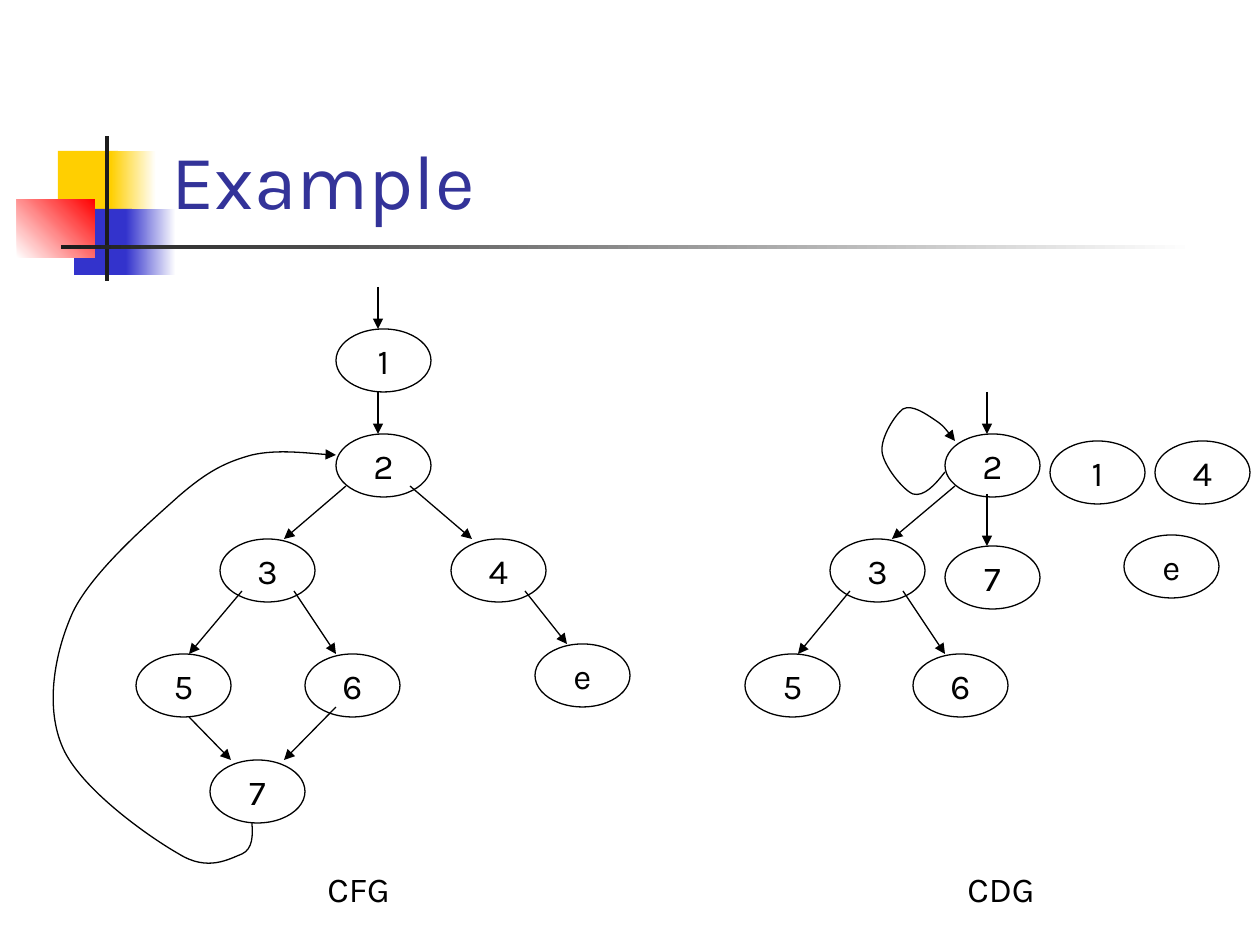
from lxml.etree import SubElement
from pptx import Presentation
from pptx.dml.color import RGBColor
from pptx.enum.shapes import MSO_CONNECTOR, MSO_SHAPE
from pptx.enum.text import MSO_ANCHOR as Anchor, MSO_AUTO_SIZE as AutoSize, PP_ALIGN as Align
from pptx.oxml.ns import qn
from pptx.util import Pt

# Content; every length is in px, 126 to the inch
PX = 914400 / 126
FONT = "Karla"
COLORS = {"ink": "000000", "title": "333399", "gold": "FFCF01", "blue": "3333CC",
          "red": "FF0000", "bar": "1C1C1C", "white": "FFFFFF"}
NODE_SIZE = (95, 63)

TITLE = ("Example", (159, 29, 1074, 202))

# Ornament: box, colour(s), gradient angle
ORNAMENT = [
    ((58, 151, 60, 66), ["gold"], 0),
    ((111, 151, 45, 66), ["gold", "white"], 0),
    ((74, 209, 58, 66), ["blue"], 0),
    ((126, 209, 50, 66), ["blue", "white"], 0),
    ((17, 199, 78, 59), ["white", "red"], 45),
    ((105, 136, 4, 145), ["bar"], 0),
    ((61, 245, 1134, 4), ["bar", "white"], 0),
]

# Each graph: nodes by corner, straight arrows, and the loop as start + Bézier points
GRAPHS = [
    {
        "label": ("CFG", (315, 861, 116, 54)),
        "nodes": {"1": (336, 329), "2": (336, 434), "3": (220, 539), "4": (451, 539),
                  "5": (136, 654), "e": (535, 644), "7": (210, 760), "6": (305, 654)},
        "arrows": [
            ((378, 287), (378, 329)), ((378, 392), (378, 434)),
            ((346, 486), (284, 539)), ((410, 486), (472, 539)),
            ((525, 591), (567, 644)), ((242, 591), (189, 654)),
            ((294, 591), (336, 654)), ((189, 717), (231, 760)),
            ((336, 707), (284, 760)),
        ],
        "loop": [
            (252, 823),
            (253, 835), (253, 849), (242, 854),
            (229, 859), (208, 872), (179, 854),
            (149, 837), (81, 789), (63, 748),
            (45, 708), (54, 654), (73, 612),
            (93, 571), (149, 523), (179, 496),
            (208, 471), (226, 462), (252, 455),
            (278, 449), (323, 455), (336, 455),
        ],
    },
    {
        "label": ("CDG", (955, 861, 252, 54)),
        "nodes": {"1": (1050, 441), "2": (945, 434), "3": (830, 539), "4": (1155, 441),
                  "5": (745, 654), "e": (1124, 535), "7": (945, 546), "6": (913, 654)},
        "arrows": [
            ((987, 392), (987, 434)), ((955, 486), (892, 539)),
            ((850, 591), (798, 654)), ((903, 591), (945, 654)),
            ((987, 494), (987, 546)),
        ],
        "loop": [
            (945, 472),
            (935, 485), (924, 497), (913, 494),
            (903, 490), (883, 465), (882, 451),
            (881, 437), (895, 415), (903, 409),
            (912, 404), (926, 414), (935, 420),
            (944, 426), (952, 437), (955, 441),
        ],
    },
]


def emu(lengths):
    return [round(length * PX) for length in lengths]


def color(name):
    return RGBColor.from_string(COLORS[name])


def write(frame, text, size, ink="ink", align=Align.LEFT):
    paragraph = frame.paragraphs[0]
    paragraph.alignment = align
    run = paragraph.add_run()
    run.text = text
    run.font.name = FONT
    run.font.size = Pt(size)
    run.font.color.rgb = color(ink)


def outline(line, arrow=False):
    line.color.rgb = color("ink")
    line.width = Pt(0.75)
    if arrow:
        SubElement(line._get_or_add_ln(), qn("a:tailEnd"), type="triangle")


def add_ornament(shapes, box, fills, angle):
    block = shapes.add_shape(MSO_SHAPE.RECTANGLE, *emu(box))
    block.shadow.inherit = False
    block.line.fill.background()
    if len(fills) == 1:
        block.fill.solid()
        block.fill.fore_color.rgb = color(fills[0])
        return
    block.fill.gradient()
    block.fill.gradient_angle = angle
    for stop, name in zip(block.fill.gradient_stops, fills):
        stop.color.rgb = color(name)


def add_node(shapes, name, corner):
    node = shapes.add_shape(MSO_SHAPE.OVAL, *emu(corner + NODE_SIZE))
    node.shadow.inherit = False
    node.fill.background()
    outline(node.line)
    node.text_frame.word_wrap = False
    node.text_frame.vertical_anchor = Anchor.MIDDLE
    write(node.text_frame, name, 20, align=Align.CENTER)


def add_arrow(shapes, start, end):
    arrow = shapes.add_connector(MSO_CONNECTOR.STRAIGHT, *emu(start + end))
    outline(arrow.line, arrow=True)
    SubElement(arrow._element.spPr, qn("a:effectLst"))


def add_loop(shapes, points):
    builder = shapes.build_freeform(*points[0], scale=PX)
    builder.add_line_segments(points[1:], close=False)
    loop = builder.convert_to_shape()
    loop.shadow.inherit = False
    loop.fill.background()
    outline(loop.line, arrow=True)
    # Every three straight segments become one Bézier curve
    segments = list(loop._element.iter(qn("a:lnTo")))
    for i in range(0, len(segments), 3):
        curve = SubElement(segments[i].getparent(), qn("a:cubicBezTo"))
        for segment in segments[i:i + 3]:
            curve.append(segment[0])
            segment.getparent().remove(segment)


def add_label(shapes, text, box):
    label = shapes.add_textbox(*emu(box))
    label.text_frame.word_wrap = True
    write(label.text_frame, text, 20)


def main():
    prs = Presentation()
    prs.slide_width, prs.slide_height = emu((1260, 945))
    slide = prs.slides.add_slide(prs.slide_layouts[5])
    shapes = slide.shapes

    # Ornament and title
    for piece in ORNAMENT:
        add_ornament(shapes, *piece)
    text, box = TITLE
    title = shapes.title
    title.left, title.top, title.width, title.height = emu(box)
    title.text_frame.auto_size = AutoSize.NONE
    title.text_frame.vertical_anchor = Anchor.BOTTOM
    write(title.text_frame, text, 44, "title")

    # Graphs
    for graph in GRAPHS:
        for name, corner in graph["nodes"].items():
            add_node(shapes, name, corner)
        for start, end in graph["arrows"]:
            add_arrow(shapes, start, end)
        add_loop(shapes, graph["loop"])
        add_label(shapes, *graph["label"])

    prs.save("out.pptx")


if __name__ == "__main__":
    main()
